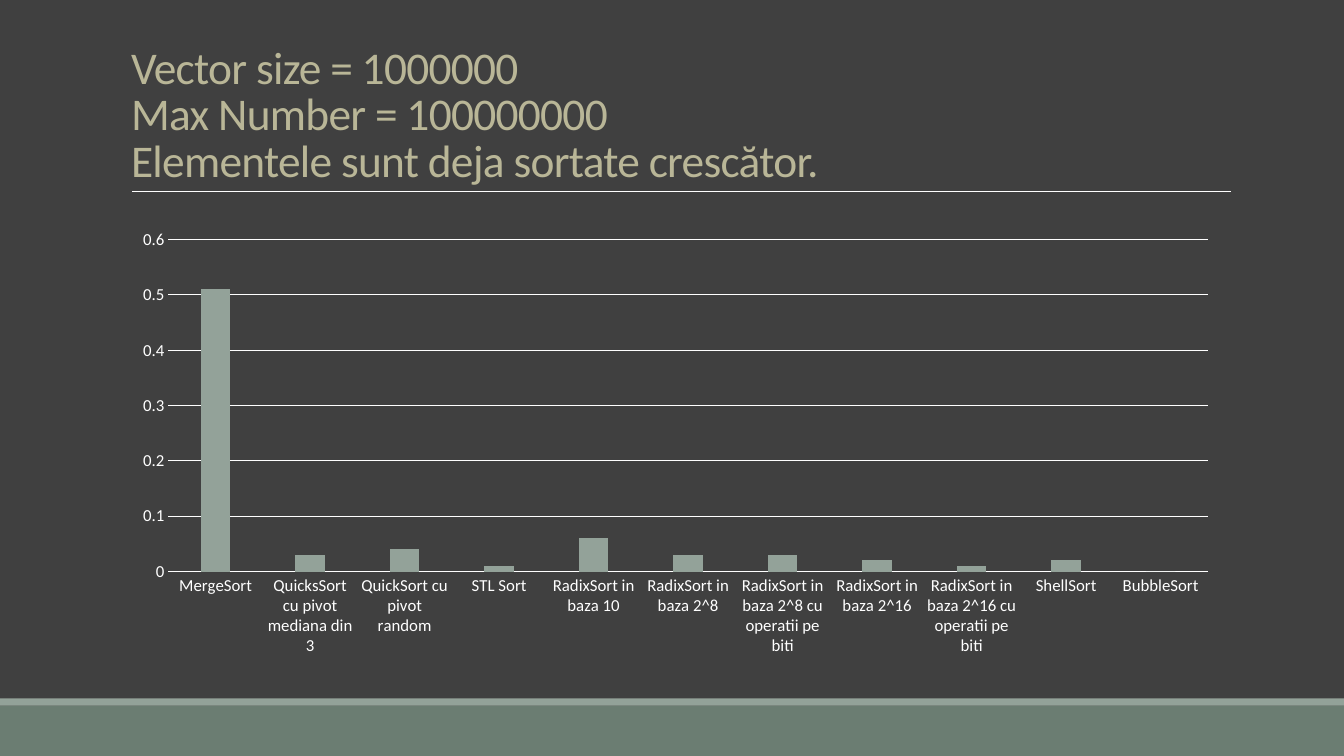
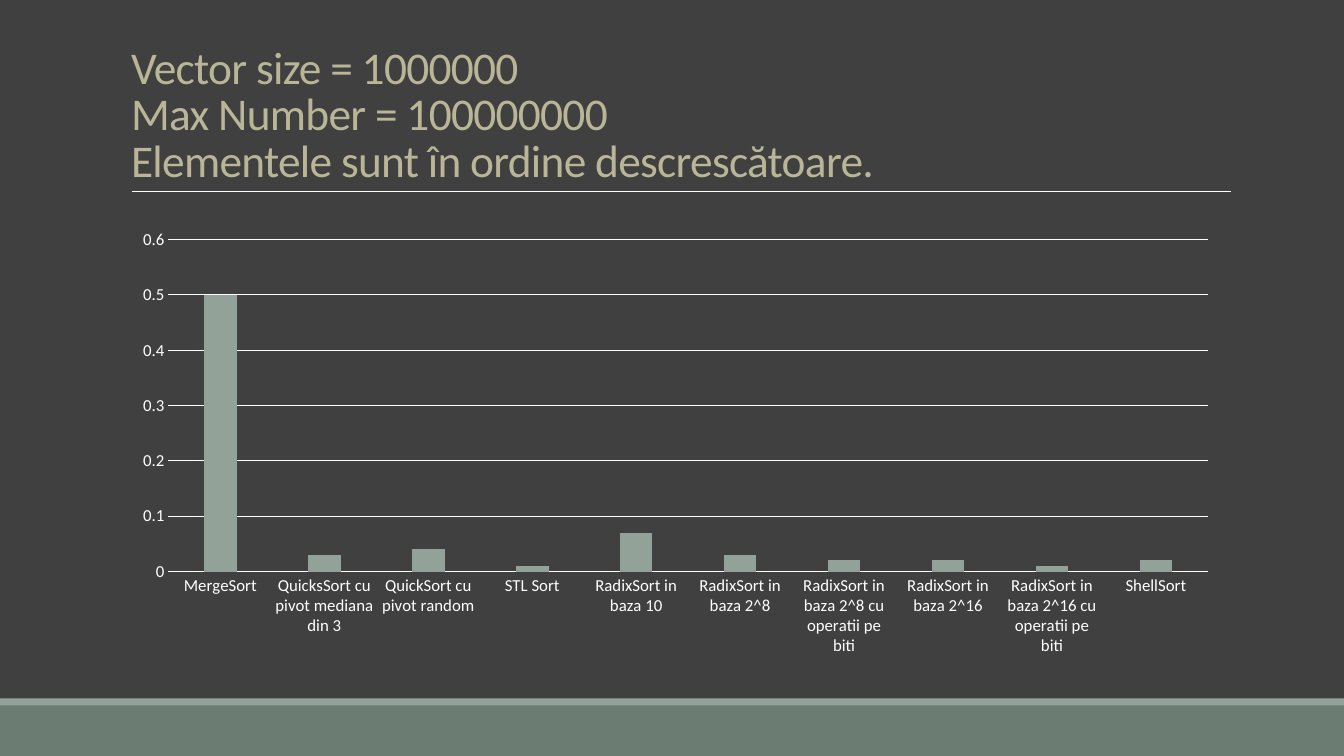
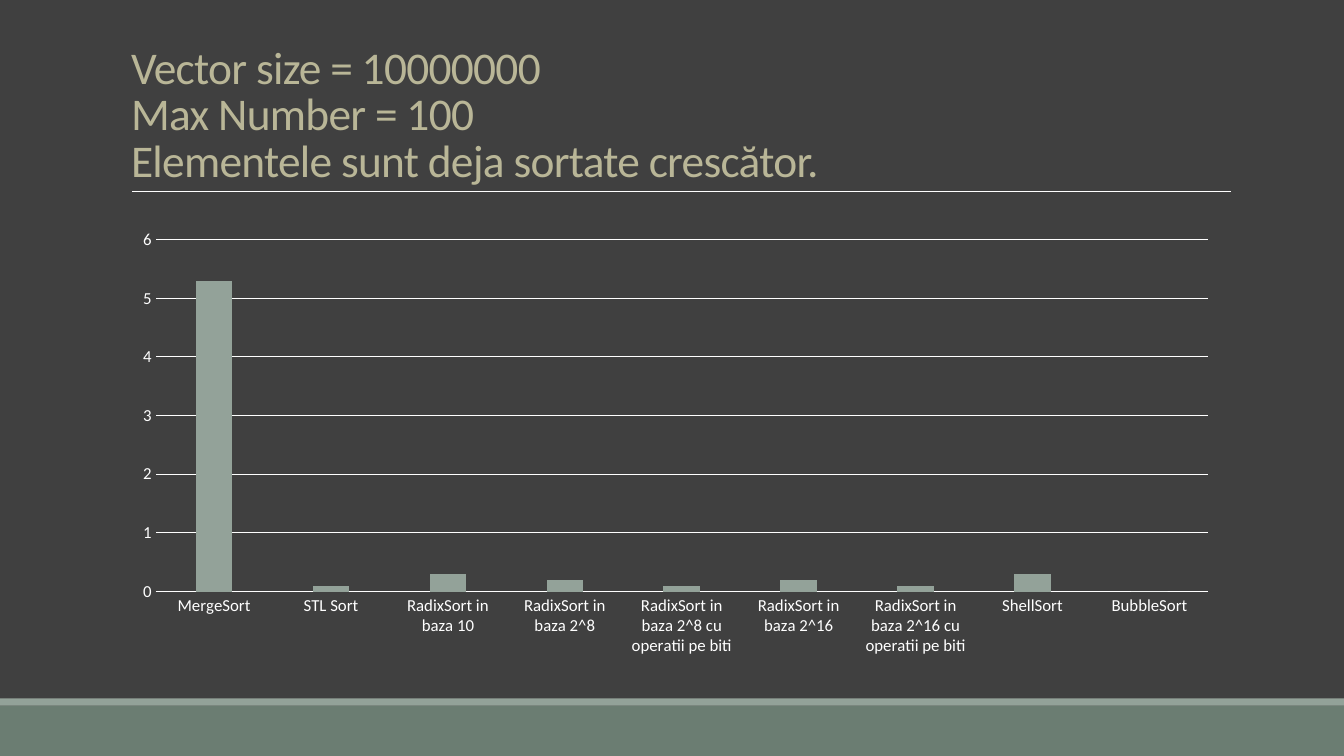
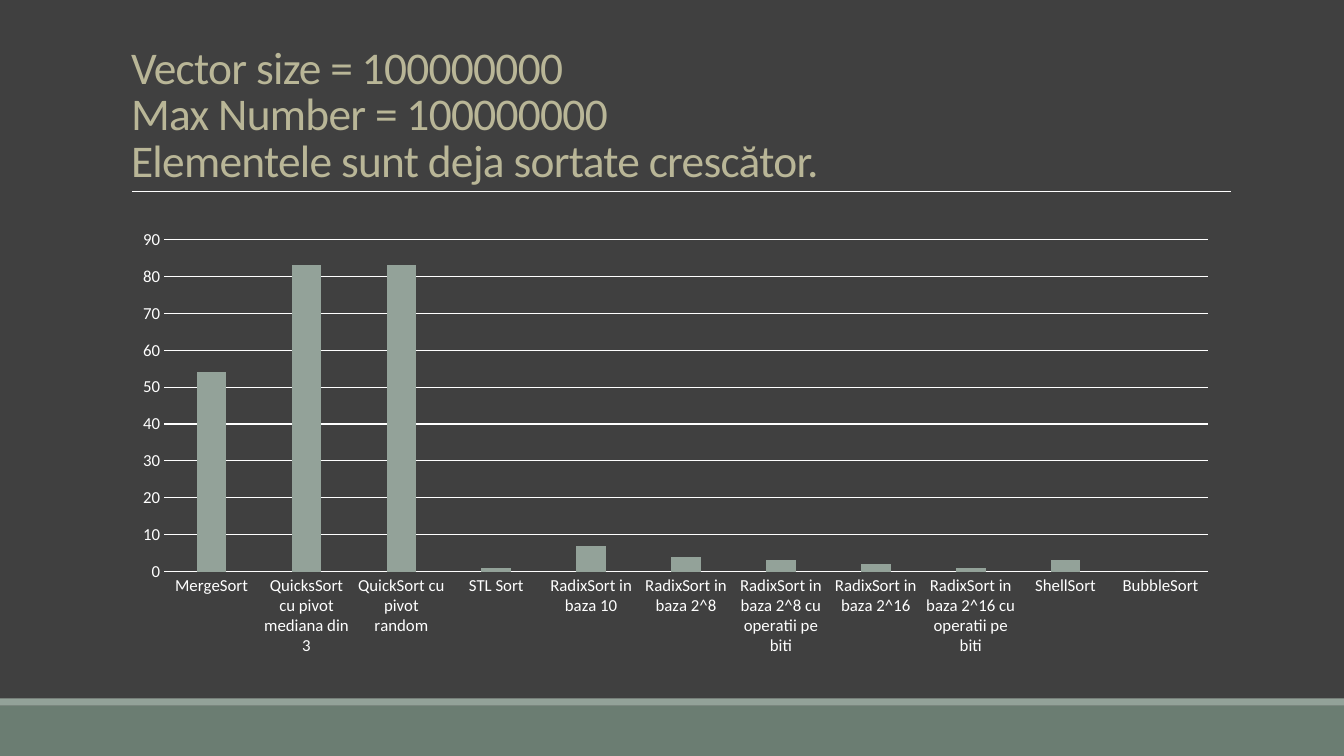
from lxml import etree
from pptx import Presentation
from pptx.chart.data import CategoryChartData
from pptx.dml.color import RGBColor
from pptx.enum.chart import XL_CHART_TYPE, XL_TICK_MARK
from pptx.enum.shapes import MSO_CONNECTOR, MSO_SHAPE
from pptx.enum.text import MSO_ANCHOR, MSO_AUTO_SIZE, PP_ALIGN
from pptx.oxml.ns import qn
from pptx.util import Inches, Pt

COLUMN = XL_CHART_TYPE.COLUMN_CLUSTERED
NO_TICK = XL_TICK_MARK.NONE
STRAIGHT = MSO_CONNECTOR.STRAIGHT
RECT = MSO_SHAPE.RECTANGLE
BOTTOM = MSO_ANCHOR.BOTTOM
NO_FIT = MSO_AUTO_SIZE.NONE
LEFT = PP_ALIGN.LEFT

COLORS = {
    "back": "404040",
    "band": "6B7D72",
    "bar": "93A299",
    "title": "B9B697",
    "line": "FFFFFF",
}
FONT = "Calibri"
WIDTH, HEIGHT = 13.33, 7.5
TITLE_ONLY = 5

SORTS = [
    "MergeSort",
    "QuicksSort cu pivot mediana din 3",
    "QuickSort cu pivot random",
    "STL Sort",
    "RadixSort in baza 10",
    "RadixSort in baza 2^8",
    "RadixSort in baza 2^8 cu operatii pe biti",
    "RadixSort in baza 2^16",
    "RadixSort in baza 2^16 cu operatii pe biti",
    "ShellSort",
    "BubbleSort",
]
RISING = "Elementele sunt deja sortate crescător."
FALLING = "Elementele sunt în ordine descrescătoare."

TESTS = [
    ("1000000", "100000000", RISING, SORTS,
     [0.51, 0.03, 0.04, 0.01, 0.06, 0.03, 0.03, 0.02, 0.01, 0.02, 0]),
    ("1000000", "100000000", FALLING, SORTS[:-1],
     [0.5, 0.03, 0.04, 0.01, 0.07, 0.03, 0.02, 0.02, 0.01, 0.02]),
    ("10000000", "100", RISING, SORTS[:1] + SORTS[3:],
     [5.3, 0.1, 0.3, 0.2, 0.1, 0.2, 0.1, 0.3, 0]),
    ("100000000", "100000000", RISING, SORTS,
     [54, 83, 83, 1, 7, 4, 3, 2, 1, 3, 0]),
]


def color(name):
    """Return the named colour."""
    return RGBColor.from_string(COLORS[name])


def box(*sides):
    """Turn numbers into inch lengths."""
    return [Inches(side) for side in sides]


def add_band(slide, top, height, name):
    """Add a full-width band."""
    band = slide.shapes.add_shape(RECT, *box(0, top, WIDTH, height))
    band.shadow.inherit = False
    band.fill.solid()
    band.fill.fore_color.rgb = color(name)
    band.line.fill.background()


def add_rule(slide):
    """Add the thin line below the title."""
    rule = slide.shapes.add_connector(STRAIGHT, *box(1.31, 1.9, 12.21, 1.9))
    rule.line.color.rgb = color("line")
    rule.line.width = Pt(0.5)
    etree.SubElement(rule._element.spPr, qn("a:effectLst"))


def set_title(slide, lines):
    """Place the title and fill it line by line."""
    title = slide.shapes.title
    title.left, title.top, title.width, title.height = box(1.2, 0.31, 11, 1.59)
    frame = title.text_frame
    frame.word_wrap = True
    frame.auto_size = NO_FIT
    frame.vertical_anchor = BOTTOM
    para = frame.paragraphs[0]
    para.alignment = LEFT
    para.line_spacing = 0.85
    for index, line in enumerate(lines):
        if index:
            para.add_line_break()
        run = para.add_run()
        run.text = line
        run.font.name = FONT
        run.font.size = Pt(32.4)
        run.font.color.rgb = color("title")
        run.font._element.set("spc", "-50")


def set_font(font, size):
    """Give chart text its font, size and colour."""
    font.name = FONT
    font.size = Pt(size)
    font.color.rgb = color("line")


def set_line(form):
    """Draw a chart line in the line colour."""
    form.line.color.rgb = color("line")
    form.line.width = Pt(0.75)


def add_bars(slide, names, times):
    """Add the column chart of sorting times."""
    data = CategoryChartData()
    data.categories = names
    data.add_series("Series 1", times)
    frame = slide.shapes.add_chart(COLUMN, *box(1.2, 2.19, 11, 4.4), data)
    chart = frame.chart
    chart.has_title = False
    chart.has_legend = False
    set_font(chart.font, 10)
    for axis in (chart.category_axis, chart.value_axis):
        axis.major_tick_mark = axis.minor_tick_mark = NO_TICK
        set_font(axis.tick_labels.font, 12)
    set_line(chart.category_axis.format)
    scale = chart.value_axis
    scale.format.line.fill.background()
    scale.has_major_gridlines = True
    set_line(scale.major_gridlines.format)
    scale.tick_labels.number_format = "General"
    scale.tick_labels.number_format_is_linked = False
    plot = chart.plots[0]
    plot.gap_width = 219
    plot.overlap = -27
    plot.vary_by_categories = False
    fill = plot.series[0].format.fill
    fill.solid()
    fill.fore_color.rgb = color("bar")


def add_test(deck, size, top, order, names, times):
    """Add the slide of one sorting test."""
    slide = deck.slides.add_slide(deck.slide_layouts[TITLE_ONLY])
    add_band(slide, 7, 0.5, "band")
    add_band(slide, 6.93, 0.07, "bar")
    add_rule(slide)
    set_title(slide, [f"Vector size = {size}", f"Max Number = {top}", order])
    add_bars(slide, names, times)


def main():
    """Build and save the deck."""
    deck = Presentation()
    deck.slide_width, deck.slide_height = box(WIDTH, HEIGHT)
    back = deck.slide_master.background.fill
    back.solid()
    back.fore_color.rgb = color("back")
    for test in TESTS:
        add_test(deck, *test)
    deck.save("out.pptx")


if __name__ == "__main__":
    main()
